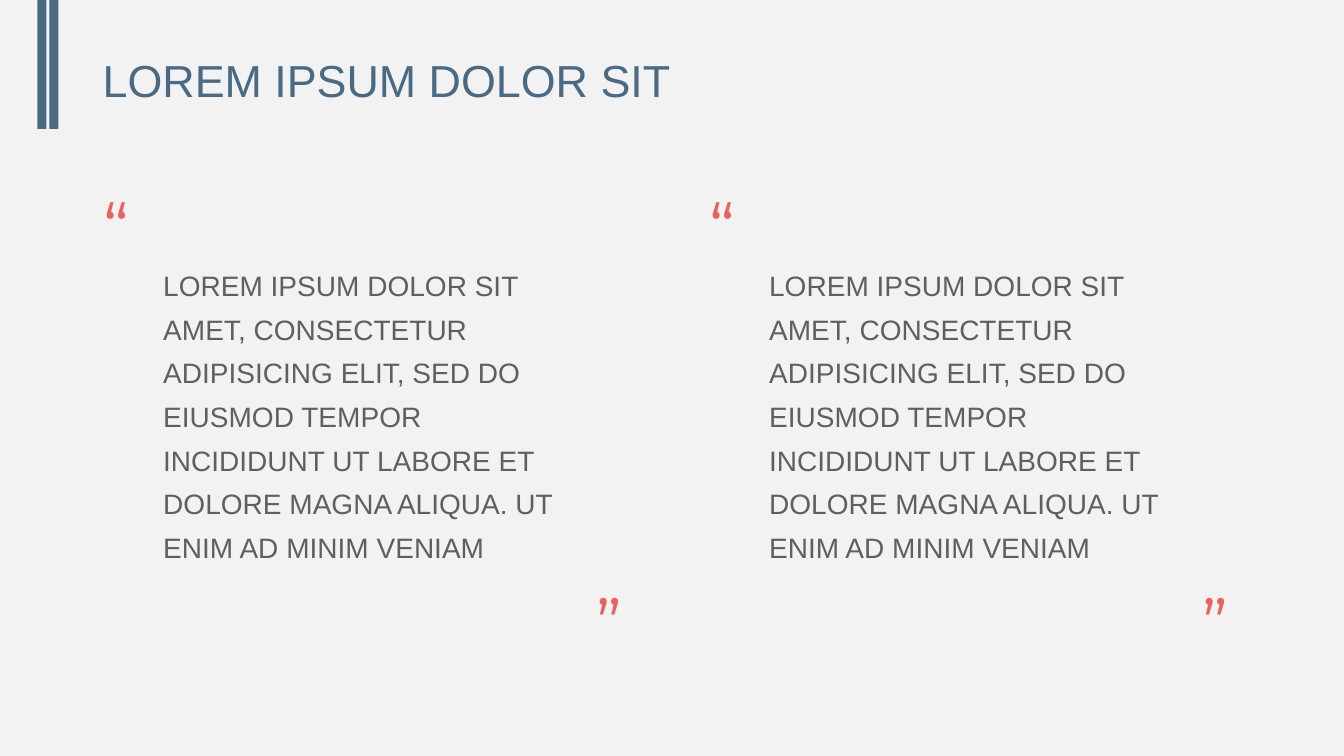
import pptx
import pptx.dml.color
import pptx.enum.shapes
import pptx.enum.text
import pptx.util

Inches = pptx.util.Inches
RGBColor = pptx.dml.color.RGBColor
PP_ALIGN = pptx.enum.text.PP_ALIGN
AUTO_SIZE = pptx.enum.text.MSO_AUTO_SIZE

BACKGROUND = RGBColor(0xF2, 0xF2, 0xF2)
BLUE = RGBColor(0x4A, 0x69, 0x82)
GRAY = RGBColor(0x5F, 0x5F, 0x5F)
CORAL = RGBColor(0xE8, 0x62, 0x62)

QUOTE = (
    "LOREM IPSUM DOLOR SIT AMET, CONSECTETUR ADIPISICING ELIT, SED DO "
    "EIUSMOD TEMPOR INCIDIDUNT UT LABORE ET DOLORE MAGNA ALIQUA. UT "
    "ENIM AD MINIM VENIAM"
)


class QuoteSlide:
    STYLES = {
        "title": {
            "font": {"name": "Arial", "size": pptx.util.Pt(32), "color": BLUE},
            "paragraph": {"line_spacing": 0.9},
            "frame": {},
        },
        "body": {
            "font": {"name": "Arial", "size": pptx.util.Pt(20), "color": GRAY},
            "paragraph": {"line_spacing": 1.3},
            "frame": {},
        },
        "mark": {
            "font": {"name": "Montserrat", "size": pptx.util.Pt(48), "color": CORAL},
            "paragraph": {"alignment": PP_ALIGN.CENTER},
            "frame": {"auto_size": AUTO_SIZE.SHAPE_TO_FIT_TEXT},
        },
    }

    def __init__(self, presentation):
        self.slide = presentation.slides.add_slide(presentation.slide_layouts[6])
        fill = self.slide.background.fill
        fill.solid()
        fill.fore_color.rgb = BACKGROUND

    def bar(self, left, width):
        shape = self.slide.shapes.add_shape(
            pptx.enum.shapes.MSO_SHAPE.RECTANGLE,
            Inches(left), 0, Inches(width), Inches(1.28),
        )
        shape.shadow.inherit = False
        shape.fill.solid()
        shape.fill.fore_color.rgb = BLUE
        shape.line.fill.background()

    def text(self, style_name, words, left, top, width, height):
        style = self.STYLES[style_name]
        box = self.slide.shapes.add_textbox(
            Inches(left), Inches(top), Inches(width), Inches(height)
        )
        frame = box.text_frame
        frame.word_wrap = True
        frame.vertical_anchor = pptx.enum.text.MSO_ANCHOR.MIDDLE
        paragraph = frame.paragraphs[0]
        run = paragraph.add_run()
        run.text = words
        for target, name in ((frame, "frame"), (paragraph, "paragraph")):
            for attribute, value in style[name].items():
                setattr(target, attribute, value)
        for attribute, value in style["font"].items():
            if attribute == "color":
                run.font.color.rgb = value
            else:
                setattr(run.font, attribute, value)

    def quotation(self, left):
        """Draw a quotation between an opening and a closing mark."""
        self.text("body", QUOTE, left + 0.73, 2.16, 4.31, 3.84)
        self.text("mark", "“", left, 1.78, 0.73, 0.91)
        self.text("mark", "”", left + 4.89, 5.71, 0.73, 0.91)


def main():
    presentation = pptx.Presentation()
    presentation.slide_width = Inches(13.33)
    presentation.slide_height = Inches(7.5)
    page = QuoteSlide(presentation)
    for left in (0.37, 0.49):
        page.bar(left, 0.09)
    page.text("title", "LOREM IPSUM DOLOR SIT", 0.92, 0.43, 11.5, 0.79)
    for left in (0.79, 6.8):
        page.quotation(left)
    presentation.save("out.pptx")


if __name__ == "__main__":
    main()
